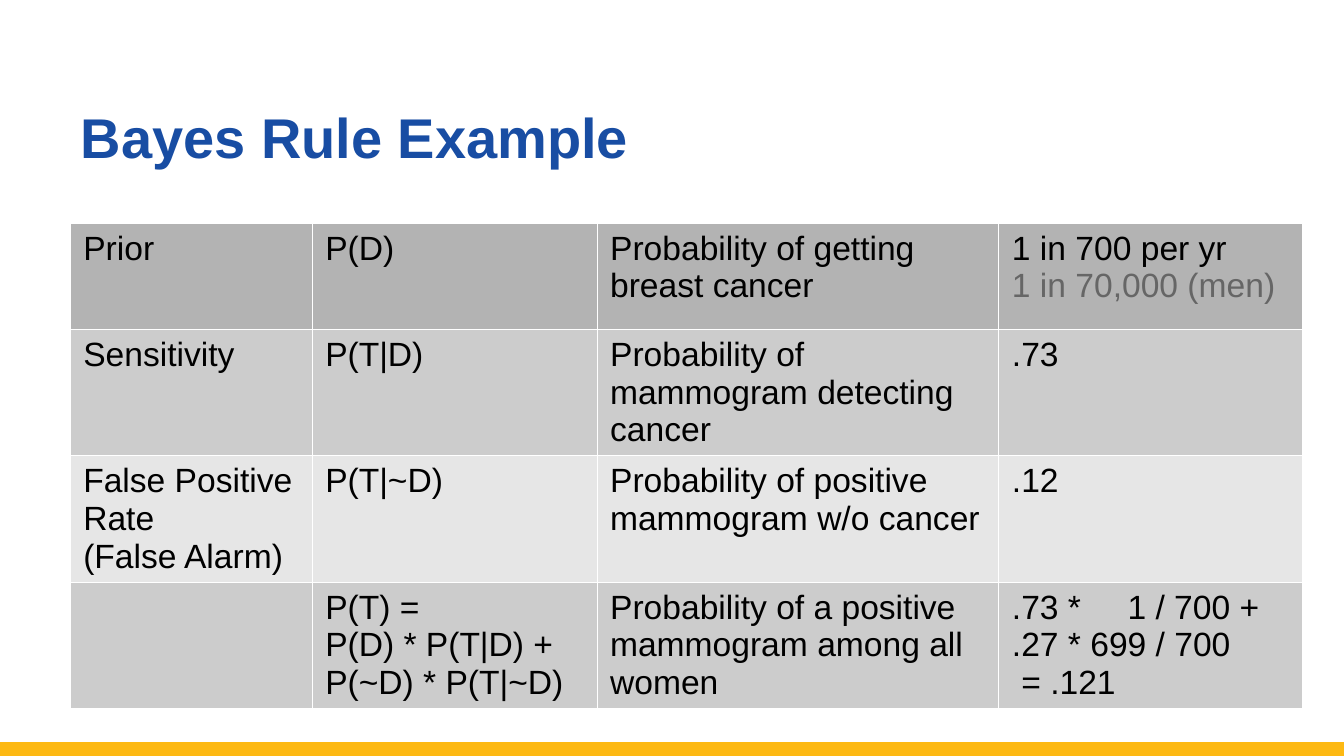
from dataclasses import dataclass

from lxml import etree
from pptx import Presentation
from pptx import util as u
from pptx.dml.color import RGBColor
from pptx.enum import shapes, text
from pptx.oxml.ns import qn

WIDTH = u.Inches(10)
HEIGHT = WIDTH * 9 // 16
FONT = "Arial"
COLORS = {
    "title": "184DA3",
    "bar": "FDB913",
    "text": "000000",
    "muted": "666666",
    "border": "FFFFFF",
    "dark": "B3B3B3",
    "medium": "CCCCCC",
    "light": "E6E6E6",
}
COLUMNS = (1.8, 2.12, 2.99, 2.26)
ROW_HEIGHT = 0.79
TAB_STOP = u.Inches(0.86)
RESULT_INDENT = u.Inches(0.07)


@dataclass(frozen=True)
class Line:
    text: str
    color: str = "text"
    indent: int = 0


@dataclass(frozen=True)
class Row:
    fill: str
    cells: tuple[tuple[Line, ...], ...]


ROWS = (
    Row("dark", (
        (Line("Prior"),),
        (Line("P(D)"),),
        (Line("Probability of getting breast cancer"),),
        (Line("1 in 700 per yr"), Line("1 in 70,000 (men)", "muted")),
    )),
    Row("medium", (
        (Line("Sensitivity"),),
        (Line("P(T|D)"),),
        (Line("Probability of mammogram detecting cancer"),),
        (Line(".73"),),
    )),
    Row("light", (
        (Line("False Positive Rate"), Line("(False Alarm)")),
        (Line("P(T|~D)"),),
        (Line("Probability of positive mammogram w/o cancer"),),
        (Line(".12"),),
    )),
    Row("medium", (
        (),
        (Line("P(T) ="), Line("P(D) * P(T|D) + P(~D) * P(T|~D)")),
        (Line("Probability of a positive mammogram among all women"),),
        (Line(".73 *\t1 / 700 +"), Line(".27 * 699 / 700"),
         Line("= .121", indent=RESULT_INDENT)),
    )),
)


def rgb(name: str) -> RGBColor:
    return RGBColor.from_string(COLORS[name])


def style(font, size: float, color: str, bold: bool = False) -> None:
    font.name = FONT
    font.size = u.Pt(size)
    font.bold = bold
    font.color.rgb = rgb(color)


def draw_bar(page) -> None:
    top = u.Inches(5.58)
    bar = page.shapes.add_connector(shapes.MSO_CONNECTOR.STRAIGHT, 0, top, WIDTH, top)
    bar.line.color.rgb = rgb("bar")
    bar.line.width = u.Pt(8)
    etree.SubElement(bar._element.spPr, qn("a:effectLst"))


def write_title(page, words: str) -> None:
    title = page.shapes.title
    title.left, title.top = int(WIDTH * 0.05), 0
    title.width, title.height = int(WIDTH * 0.9), u.Inches(1.31)
    frame = title.text_frame
    frame.text = words
    frame.word_wrap = True
    frame.auto_size = text.MSO_AUTO_SIZE.NONE
    frame.vertical_anchor = text.MSO_ANCHOR.BOTTOM
    para = frame.paragraphs[0]
    para.alignment = text.PP_ALIGN.LEFT
    para.line_spacing = u.Pt(58)
    style(para.runs[0].font, 30, "title", True)


def add_borders(cell) -> None:
    properties = cell._tc.get_or_add_tcPr()
    for position, side in enumerate(("lnL", "lnR", "lnT", "lnB")):
        border = etree.Element(qn(f"a:{side}"), w=str(int(u.Pt(0.06))))
        fill = etree.SubElement(border, qn("a:solidFill"))
        etree.SubElement(fill, qn("a:srgbClr"), val=COLORS["border"])
        properties.insert(position, border)


def write_line(para, line: Line) -> None:
    properties = para._p.get_or_add_pPr()
    if line.indent:
        properties.set("marL", str(line.indent))
    if "\t" in line.text:
        tabs = etree.SubElement(properties, qn("a:tabLst"))
        etree.SubElement(tabs, qn("a:tab"), pos=str(TAB_STOP), algn="l")
    para.text = line.text
    for span in para.runs:
        style(span.font, 18, line.color)


def fill_cell(cell, lines: tuple[Line, ...], fill: str) -> None:
    cell.fill.solid()
    cell.fill.fore_color.rgb = rgb(fill)
    add_borders(cell)
    frame = cell.text_frame
    for index, line in enumerate(lines):
        para = frame.add_paragraph() if index else frame.paragraphs[0]
        write_line(para, line)


def draw_table(page, rows: tuple[Row, ...]) -> None:
    table = page.shapes.add_table(
        len(rows), len(COLUMNS), u.Inches(0.52), u.Inches(1.66),
        u.Inches(sum(COLUMNS)), u.Inches(ROW_HEIGHT * len(rows))).table
    table.first_row = table.horz_banding = False
    for column, width in zip(table.columns, COLUMNS):
        column.width = u.Inches(width)
    for index, row in enumerate(rows):
        table.rows[index].height = u.Inches(ROW_HEIGHT)
        for cell, lines in zip(table.rows[index].cells, row.cells):
            fill_cell(cell, lines, row.fill)


def main() -> None:
    deck = Presentation()
    deck.slide_width, deck.slide_height = WIDTH, HEIGHT
    page = deck.slides.add_slide(deck.slide_layouts[5])
    draw_bar(page)
    write_title(page, "Bayes Rule Example")
    draw_table(page, ROWS)
    deck.save("out.pptx")


if __name__ == "__main__":
    main()
